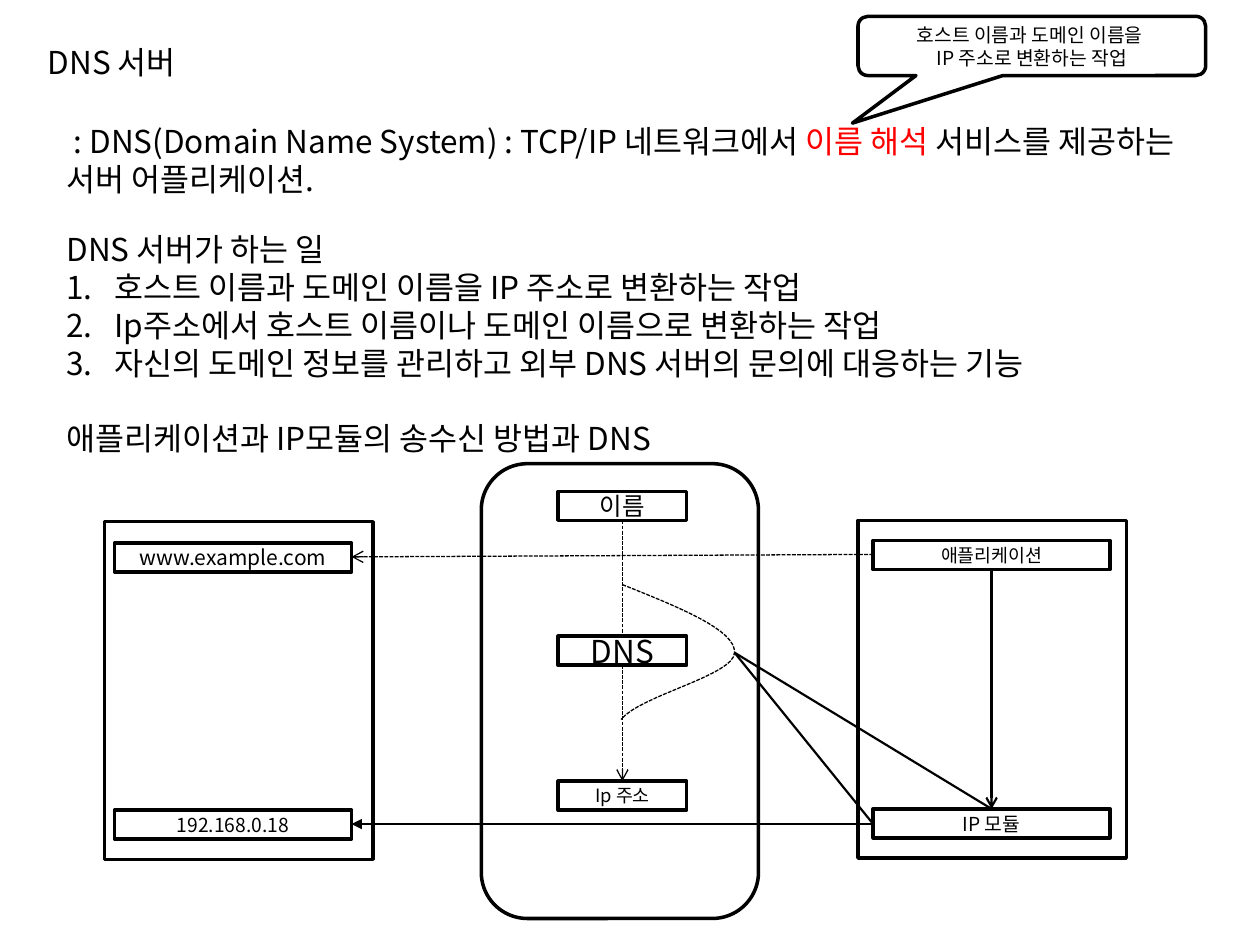
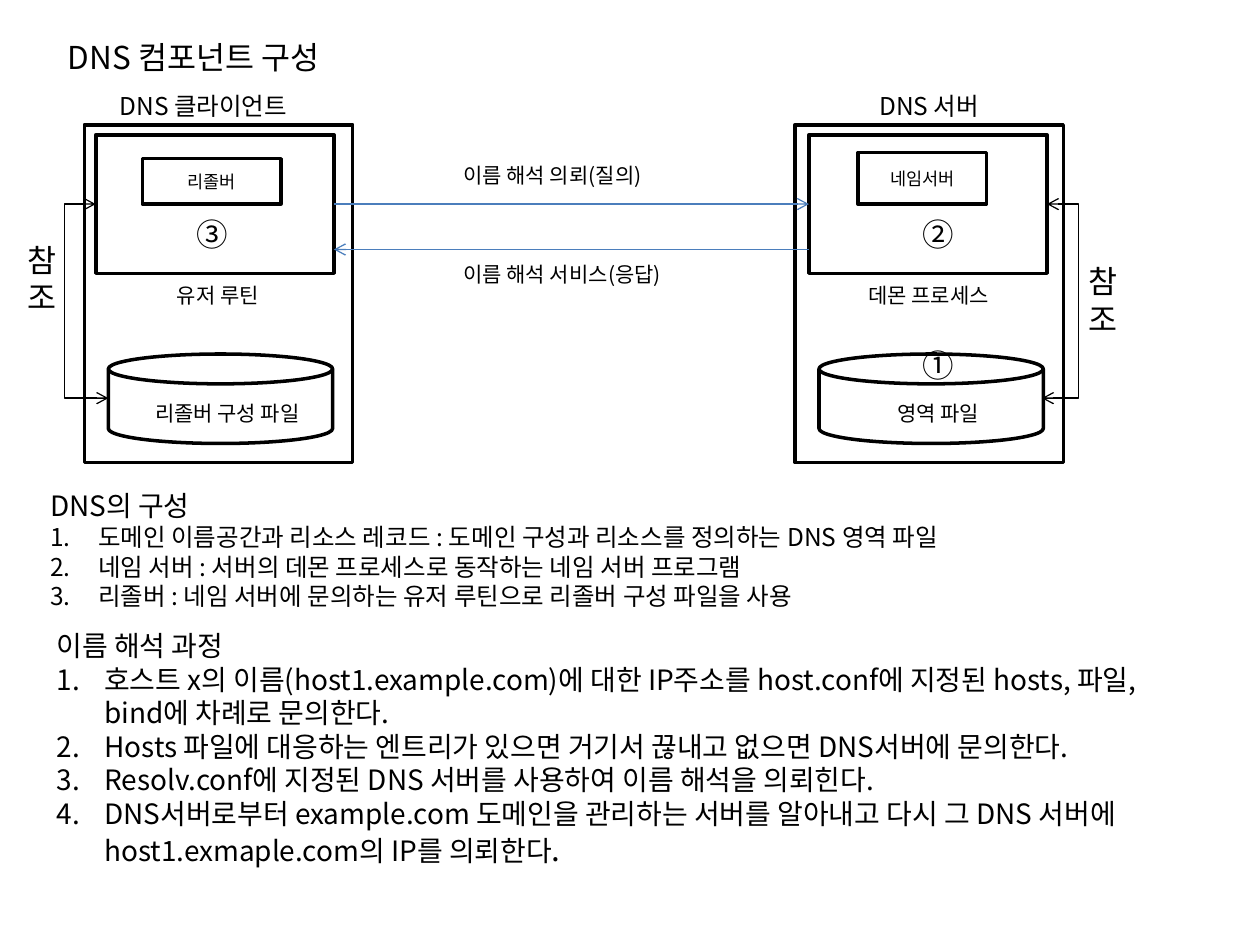
import pptx
import pptx.util
import pptx.dml.color
import pptx.enum.dml
import pptx.enum.shapes
import pptx.enum.text
import pptx.oxml.ns
import lxml.etree

# Shared style
COLORS = {"ink": "000000", "accent": "FF0000", "paper": "FFFFFF", "flow": "4B7EBC"}
FONT = "Noto Sans CJK KR"
SLIDE_WIDTH, SLIDE_HEIGHT = 10, 7.5
COLUMNS, ROWS = 100, 75
OUTLINE = 2
INDENT = 0.38
SHAPES = pptx.enum.shapes.MSO_SHAPE
CENTER = pptx.enum.text.PP_ALIGN.CENTER
LEFT = pptx.enum.text.PP_ALIGN.LEFT


def column(value):
    return pptx.util.Inches(value * SLIDE_WIDTH / COLUMNS)


def row(value):
    return pptx.util.Inches(value * SLIDE_HEIGHT / ROWS)


def place(left, top, width, height):
    return column(left), row(top), column(width), row(height)


def rgb(name):
    return pptx.dml.color.RGBColor.from_string(COLORS[name])


def add_element(parent, tag, **attributes):
    element = lxml.etree.SubElement(parent, pptx.oxml.ns.qn(tag))
    for name, value in attributes.items():
        element.set(name, str(value))
    return element


def format_run(run, size, color="ink"):
    run.font.size = pptx.util.Pt(size)
    run.font.name = FONT
    run.font.color.rgb = rgb(color)
    add_element(run.font._element, "a:ea", typeface=FONT)


def write_paragraph(paragraph, content, size, align):
    """Content is a string, or a list of (text, size, color) runs."""
    paragraph.alignment = align
    runs = [(content, size, "ink")] if isinstance(content, str) else content
    for text, run_size, color in runs:
        run = paragraph.add_run()
        run.text = text
        format_run(run, run_size, color)


def number_paragraph(paragraph):
    properties = paragraph._p.get_or_add_pPr()
    indent = pptx.util.Inches(INDENT)
    properties.set("marL", str(indent))
    properties.set("indent", str(-indent))
    add_element(properties, "a:buFont", typeface="+mj-lt")
    add_element(properties, "a:buAutoNum", type="arabicPeriod")


def write_lines(frame, lines, size, align):
    for index, content in enumerate(lines):
        paragraph = frame.paragraphs[0] if index == 0 else frame.add_paragraph()
        write_paragraph(paragraph, content, size, align)


def add_text(slide, box, lines, size, align=LEFT):
    frame = slide.shapes.add_textbox(*place(*box)).text_frame
    frame.word_wrap = True
    write_lines(frame, lines, size, align)
    return frame


def add_numbered_list(slide, box, heading, heading_size, items, size):
    frame = add_text(slide, box, [heading], heading_size)
    for item in items:
        paragraph = frame.add_paragraph()
        write_paragraph(paragraph, item, size, LEFT)
        number_paragraph(paragraph)


def add_box(slide, box, lines=(), size=11, kind=SHAPES.RECTANGLE, fill=None):
    shape = slide.shapes.add_shape(kind, *place(*box))
    shape.shadow.inherit = False
    if fill:
        shape.fill.solid()
        shape.fill.fore_color.rgb = rgb(fill)
    else:
        shape.fill.background()
    shape.line.color.rgb = rgb("ink")
    shape.line.width = pptx.util.Pt(OUTLINE)
    shape.text_frame.vertical_anchor = pptx.enum.text.MSO_ANCHOR.MIDDLE
    write_lines(shape.text_frame, lines, size, CENTER)
    return shape


def style_line(line, width, color="ink", dashed=False, head=None, tail=None):
    line.color.rgb = rgb(color)
    line.width = pptx.util.Pt(width)
    if dashed:
        line.dash_style = pptx.enum.dml.MSO_LINE.SQUARE_DOT
    properties = line._get_or_add_ln()
    if head:
        add_element(properties, "a:headEnd", type=head)
    if tail:
        add_element(properties, "a:tailEnd", type=tail)


def add_line(slide, start, end, width=0.75, elbow=None, **style):
    """Straight line, or a bent one whose middle part stands in column elbow."""
    kinds = pptx.enum.shapes.MSO_CONNECTOR
    kind = kinds.STRAIGHT if elbow is None else kinds.ELBOW
    connector = slide.shapes.add_connector(
        kind, column(start[0]), row(start[1]), column(end[0]), row(end[1]))
    style_line(connector.line, width, **style)
    properties = connector._element.spPr
    add_element(properties, "a:effectLst")
    if elbow is not None:
        share = round(100000 * (elbow - start[0]) / (end[0] - start[0]))
        guides = properties.find(pptx.oxml.ns.qn("a:prstGeom")).get_or_add_avLst()
        add_element(guides, "a:gd", name="adj1", fmla=f"val {share}")


def bezier_points(corners, steps=16):
    weights = (1, 3, 3, 1)
    for step in range(1, steps + 1):
        t = step / steps
        yield tuple(
            sum(weight * (1 - t) ** (3 - power) * t ** power * corner[axis]
                for power, (weight, corner) in enumerate(zip(weights, corners)))
            for axis in (0, 1))


def add_dashed_curve(slide, start, segments):
    points, current = [], start
    for segment in segments:
        points += bezier_points((current, *segment))
        current = segment[-1]
    builder = slide.shapes.build_freeform(column(start[0]), row(start[1]))
    builder.add_line_segments([(column(x), row(y)) for x, y in points], close=False)
    curve = builder.convert_to_shape()
    curve.shadow.inherit = False
    curve.fill.background()
    style_line(curve.line, 0.75, dashed=True)


def add_title(slide, left, top, title):
    add_text(slide, (left, top, 89.8, 4), [title], 18)


def build_server_slide(slide):
    # Name-to-address path lies behind the boxes
    add_line(slide, (49.4, 41.3), (49.4, 62), dashed=True, tail="arrow")

    # Definition and callout
    add_title(slide, 2.8, 2.9, "DNS 서버")
    add_text(slide, (4.3, 9.2, 91.3, 7.1), [[
        (" : DNS(Domain Name System) : TCP/IP 네트워크에서 ", 18, "ink"),
        ("이름 해석", 18, "accent"),
        (" 서비스를 제공하는 서버 어플리케이션.", 18, "ink")]], 18)
    callout = add_box(slide, (68.1, 1.3, 27.6, 4.7),
                      ["호스트 이름과 도메인 이름을 ", "IP 주소로 변환하는 작업"], 11,
                      SHAPES.ROUNDED_RECTANGULAR_CALLOUT)
    callout.adjustments[0] = -0.516
    callout.adjustments[1] = 1.304

    # Tasks
    add_numbered_list(slide, (4.3, 17.8, 91.3, 13.1), "DNS 서버가 하는 일", 18, [
        "호스트 이름과 도메인 이름을 IP 주소로 변환하는 작업",
        "Ip주소에서 호스트 이름이나 도메인 이름으로 변환하는 작업",
        "자신의 도메인 정보를 관리하고 외부 DNS 서버의 문의에 대응하는 기능"], 18)
    add_title(slide, 4.3, 32.8, "애플리케이션과 IP모듈의 송수신 방법과 DNS")

    # Three frames
    add_box(slide, (8.3, 41.4, 21.3, 26.8))
    add_box(slide, (38.2, 36.8, 22, 36.1), kind=SHAPES.ROUNDED_RECTANGLE)
    add_box(slide, (68.1, 41.3, 21.3, 26.8))

    # Labelled boxes: left, top, width, text, size, fill
    for left, top, width, label, size, fill in [
            (9.1, 43.1, 18.8, "www.example.com", 12, None),
            (9.1, 64.3, 18.8, "192.168.0.18", 11, None),
            (44.3, 39, 10.2, "이름", 14, None),
            (44.3, 62, 10.2, "Ip 주소", 10.5, None),
            (44.3, 50.5, 10.2, "DNS", 18, "paper"),
            (69.3, 42.9, 18.8, "애플리케이션", 10.5, None),
            (69.3, 64.2, 18.8, "IP 모듈", 11, None)]:
        add_box(slide, (left, top, width, 2.3), [label], size, fill=fill)

    # Flows
    bend = (58.3, 51.8)
    module_top, module_side = (78.7, 64.2), (69.3, 65.4)
    add_line(slide, (69.3, 44), (27.9, 44.2), dashed=True, tail="arrow")
    add_dashed_curve(slide, (49.4, 46.4), [
        ((53.9, 48.2), (58.4, 50), bend),
        ((58.3, 53.6), (50.8, 55.2), (49.3, 57.1))])
    add_line(slide, (78.7, 45.2), module_top, 1.25, tail="arrow")
    add_line(slide, module_top, bend, 1.25)
    add_line(slide, module_side, bend, 1.25)
    add_line(slide, module_side, (27.9, 65.4), 1.25, tail="triangle")


def add_host(slide, left, process_left, name_box, name, name_align,
             program_box, program, process, file_name):
    """One machine: frame, process with its program, and a file on disk."""
    add_box(slide, (left, 9.9, 21.3, 26.8))
    add_text(slide, name_box, [name], 14, name_align)
    add_box(slide, (process_left, 10.7, 18.9, 11))
    add_box(slide, program_box, [program], 10)
    add_text(slide, (left, 21.9, 21.2, 3), [process], 12, CENTER)
    add_box(slide, (left + 1.9, 28.1, 17.8, 7.1), kind=SHAPES.FLOWCHART_MAGNETIC_DISK)
    add_text(slide, (left + 3.1, 31.3, 16.5, 3), [file_name], 12, CENTER)


def build_component_slide(slide):
    add_title(slide, 4.4, 2.5, "DNS 컴포넌트 구성")

    # Client and server
    add_host(slide, 6.7, 7.6, (8.5, 6.7, 21.3, 3.4), "DNS 클라이언트", LEFT,
             (11.3, 12.6, 11, 3.6), "리졸버", "유저 루틴", "리졸버 구성 파일")
    add_host(slide, 63.1, 64.2, (63.1, 6.7, 21.3, 3.4), "DNS 서버", CENTER,
             (68.1, 12.1, 10.2, 4.1), "네임서버", "데몬 프로세스", "영역 파일")

    # References from process to file
    for start, end, elbow, label_left, label_top in [
            (7.6, 8.6, 5.1, 1.2, 18.6), (83.1, 82.7, 85.6, 85.4, 20.3)]:
        add_line(slide, (start, 16.2), (end, 31.6), elbow=elbow,
                 head="arrow", tail="arrow")
        add_text(slide, (label_left, label_top, 4.7, 7.1), ["참조"], 18)

    # Query and response
    for start, end, level, label_top, label in [
            (26.5, 64.2, 16.2, 12.4, "이름 해석 의뢰(질의)"),
            (64.2, 26.5, 19.8, 20.3, "이름 해석 서비스(응답)")]:
        add_line(slide, (start, level), (end, level), color="flow", tail="arrow")
        add_text(slide, (35.8, label_top, 21.3, 3), [label], 12)

    # Part numbers
    for left, top, number in [(70.5, 27, "①"), (70.5, 16.6, "②"), (12.9, 16.6, "③")]:
        add_text(slide, (left, top, 7.9, 4), [number], 18, CENTER)

    # Explanations
    add_numbered_list(slide, (3, 38.3, 89.8, 11.1), "DNS의 구성", 16, [
        "도메인 이름공간과 리소스 레코드 : 도메인 구성과 리소스를 정의하는 DNS 영역 파일",
        "네임 서버 : 서버의 데몬 프로세스로 동작하는 네임 서버 프로그램",
        "리졸버 : 네임 서버에 문의하는 유저 루틴으로 리졸버 구성 파일을 사용"], 14)
    add_numbered_list(slide, (3.5, 49.4, 92.1, 20.9), "이름 해석 과정", 16, [
        "호스트 x의 이름(host1.example.com)에 대한 IP주소를 host.conf에 지정된 hosts, "
        "파일, bind에 차례로 문의한다.",
        "Hosts 파일에 대응하는 엔트리가 있으면 거기서 끊내고 없으면 DNS서버에 문의한다.",
        "Resolv.conf에 지정된 DNS 서버를 사용하여 이름 해석을 의뢰힌다.",
        [("DNS서버로부터 example.com 도메인을 관리하는 서버를 알아내고 다시 그 DNS 서버에 "
          "host1.exmaple.com의 IP를 의뢰한다", 16, "ink"), (".", 18, "ink")]], 16)


def main():
    presentation = pptx.Presentation()
    presentation.slide_width = pptx.util.Inches(SLIDE_WIDTH)
    presentation.slide_height = pptx.util.Inches(SLIDE_HEIGHT)
    blank = presentation.slide_layouts[6]
    for build in (build_server_slide, build_component_slide):
        build(presentation.slides.add_slide(blank))
    presentation.save("out.pptx")


main()
